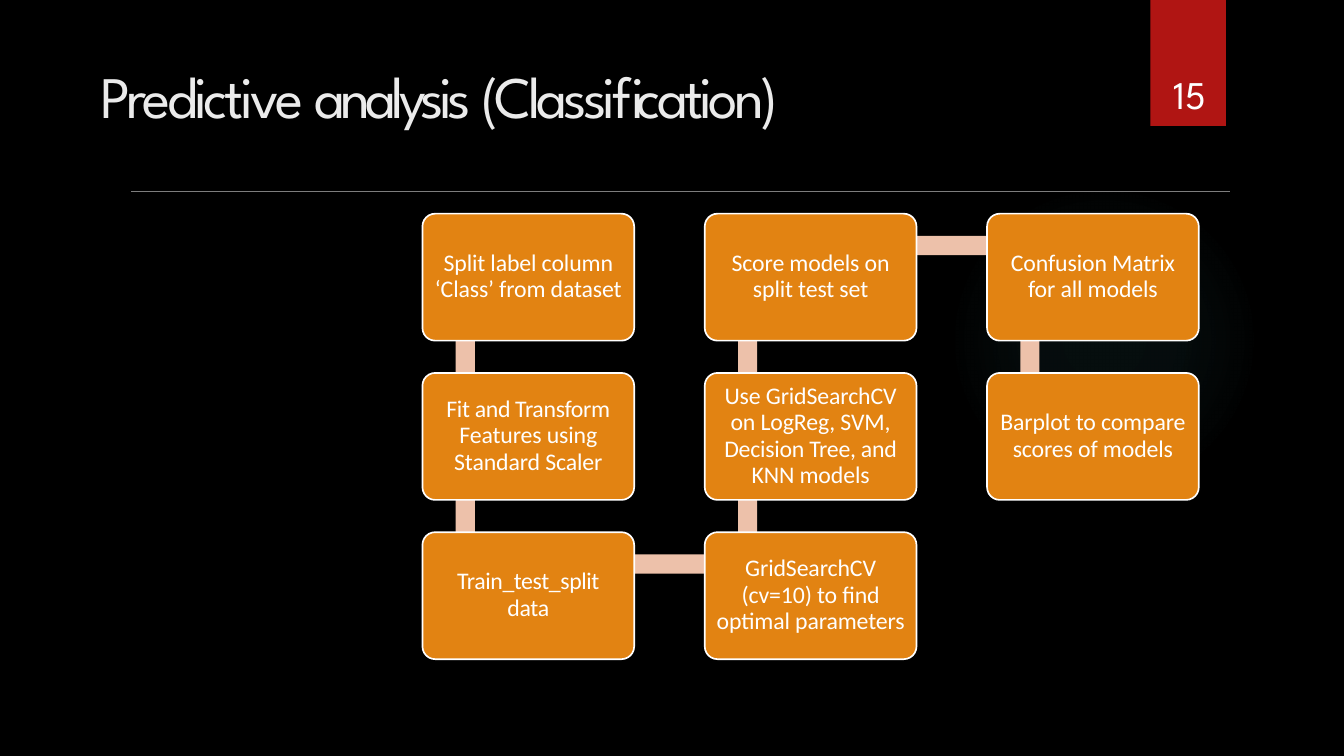
from itertools import pairwise

from lxml import etree
from pptx import Presentation
from pptx import util as u
from pptx.dml import color
from pptx.enum import shapes, text
from pptx.oxml import ns

PX = 9144  # EMU, 100 px to the inch
HUES = {"back": "000000", "tag": "B01513", "rule": "7D7D7D", "title": "EBEBEB",
        "text": "FFFFFF", "box": "E28312", "bar": "EDC1AA", "glow": "50B9C1"}
HEAD, BODY = "League Spartan", "Calibri"
KIND = shapes.MSO_SHAPE
LEFT, TOP, WIDE, HIGH = 419, 212, 210, 126
STEP_X, STEP_Y, THICK = 280, 158, 19

# Column, row and lines of each step, in the order of the flow
STEPS = [
    (0, 0, ["Split label column", "‘Class’ from dataset"]),
    (0, 1, ["Fit and Transform", "Features using", "Standard Scaler"]),
    (0, 2, ["Train_test_split", "data"]),
    (1, 2, ["GridSearchCV", "(cv=10) to find", "optimal parameters"]),
    (1, 1, ["Use GridSearchCV", "on LogReg, SVM,", "Decision Tree, and", "KNN models"]),
    (1, 0, ["Score models on", "split test set"]),
    (2, 0, ["Confusion Matrix", "for all models"]),
    (2, 1, ["Barplot to compare", "scores of models"]),
]
TIGHT = {"Fit and Transform": -0.25, "Train_test_split": -0.3, "data": -0.2,
         "Decision Tree, and": -0.2}


def px(*nums):
    return [u.Emu(n * PX) for n in nums]


def rgb(name):
    return color.RGBColor.from_string(HUES[name])


def add_run(para, words, size, font, hue, track=0.0):
    """Add a run; track is letter spacing in points."""
    run = para.add_run()
    run.text = words
    run.font.size = u.Pt(size)
    run.font.name = font
    run.font.color.rgb = rgb(hue)
    if track:
        run._r.get_or_add_rPr().set("spc", str(round(track * 100)))


def set_frame(frame, anchor):
    frame.margin_left = frame.margin_right = 0
    frame.margin_top = frame.margin_bottom = 0
    frame.word_wrap = True
    frame.auto_size = text.MSO_AUTO_SIZE.NONE
    frame.vertical_anchor = anchor


def add_block(slide, kind, area, hue):
    block = slide.shapes.add_shape(kind, *px(*area))
    block.shadow.inherit = False
    block.fill.solid()
    block.fill.fore_color.rgb = rgb(hue)
    block.line.fill.background()
    return block


def add_glow(slide):
    glow = add_block(slide, KIND.OVAL, (941, 183, 308, 308), "glow")
    stops = "".join(
        f'<a:gs pos="{pos}000"><a:srgbClr val="{HUES["glow"]}">'
        f'<a:alpha val="{alpha}000"/></a:srgbClr></a:gs>'
        for pos, alpha in [(0, 7), (36, 6), (69, 0), (100, 0)])
    grad = etree.fromstring(
        f'<a:gradFill {ns.nsdecls("a")}><a:gsLst>{stops}</a:gsLst><a:path path="circle">'
        '<a:fillToRect l="50000" t="50000" r="50000" b="50000"/></a:path></a:gradFill>')
    props = glow._element.spPr
    props.replace(props.find(ns.qn("a:solidFill")), grad)


def add_rule(slide):
    rule = slide.shapes.add_connector(shapes.MSO_CONNECTOR.STRAIGHT, *px(130, 190, 1220, 190))
    rule.line.color.rgb = rgb("rule")
    rule.line.width = u.Pt(0.48)
    etree.SubElement(rule._element.spPr, ns.qn("a:effectLst"))


def add_title(slide):
    title = slide.shapes.title
    title.left, title.top, title.width, title.height = px(100, 59, 866, 83)
    set_frame(title.text_frame, text.MSO_ANCHOR.TOP)
    para = title.text_frame.paragraphs[0]
    para.alignment = text.PP_ALIGN.LEFT
    for words, track in [("Predictive ", -2.5), ("analysis ", -3.5), ("(Classification)", -2.8)]:
        add_run(para, words, 42, HEAD, "title", track)


def add_number(slide):
    add_block(slide, KIND.RECTANGLE, (1141, 0, 75, 125), "tag")
    frame = slide.shapes.add_textbox(*px(1134, 32, 92, 84)).text_frame
    set_frame(frame, text.MSO_ANCHOR.BOTTOM)
    para = frame.paragraphs[0]
    para.alignment = text.PP_ALIGN.CENTER
    para.line_spacing = u.Pt(11)
    add_run(para, "15", 28, HEAD, "text")


def spot(col, row):
    return LEFT + col * STEP_X, TOP + row * STEP_Y


def add_bar(slide, start, end):
    """Join two neighbouring steps with a bar that runs behind both."""
    x, y = spot(min(start[0], end[0]), min(start[1], end[1]))
    if start[0] == end[0]:
        area = x + 33, y + 32, THICK, STEP_Y
    else:
        area = x + 43, y + 22, STEP_X, THICK
    add_block(slide, KIND.RECTANGLE, area, "bar")


def add_step(slide, col, row, lines):
    box = add_block(slide, KIND.ROUNDED_RECTANGLE, (*spot(col, row), WIDE, HIGH), "box")
    box.adjustments[0] = 0.1
    box.line.color.rgb = rgb("text")
    box.line.width = u.Pt(1.2)
    frame = box.text_frame
    set_frame(frame, text.MSO_ANCHOR.MIDDLE)
    frame.margin_bottom = px(2)[0]
    for i, line in enumerate(lines):
        para = frame.add_paragraph() if i else frame.paragraphs[0]
        para.alignment = text.PP_ALIGN.CENTER
        para.line_spacing = u.Pt(19)
        add_run(para, line, 17, BODY, "text", TIGHT.get(line, -0.1))


def main():
    deck = Presentation()
    deck.slide_width, deck.slide_height = px(1333, 750)
    slide = deck.slides.add_slide(deck.slide_layouts[5])
    slide.background.fill.solid()
    slide.background.fill.fore_color.rgb = rgb("back")
    add_glow(slide)
    add_rule(slide)
    add_title(slide)
    add_number(slide)
    for start, end in pairwise(STEPS):
        add_bar(slide, start, end)
    for step in STEPS:
        add_step(slide, *step)
    deck.save("out.pptx")


if __name__ == "__main__":
    main()
